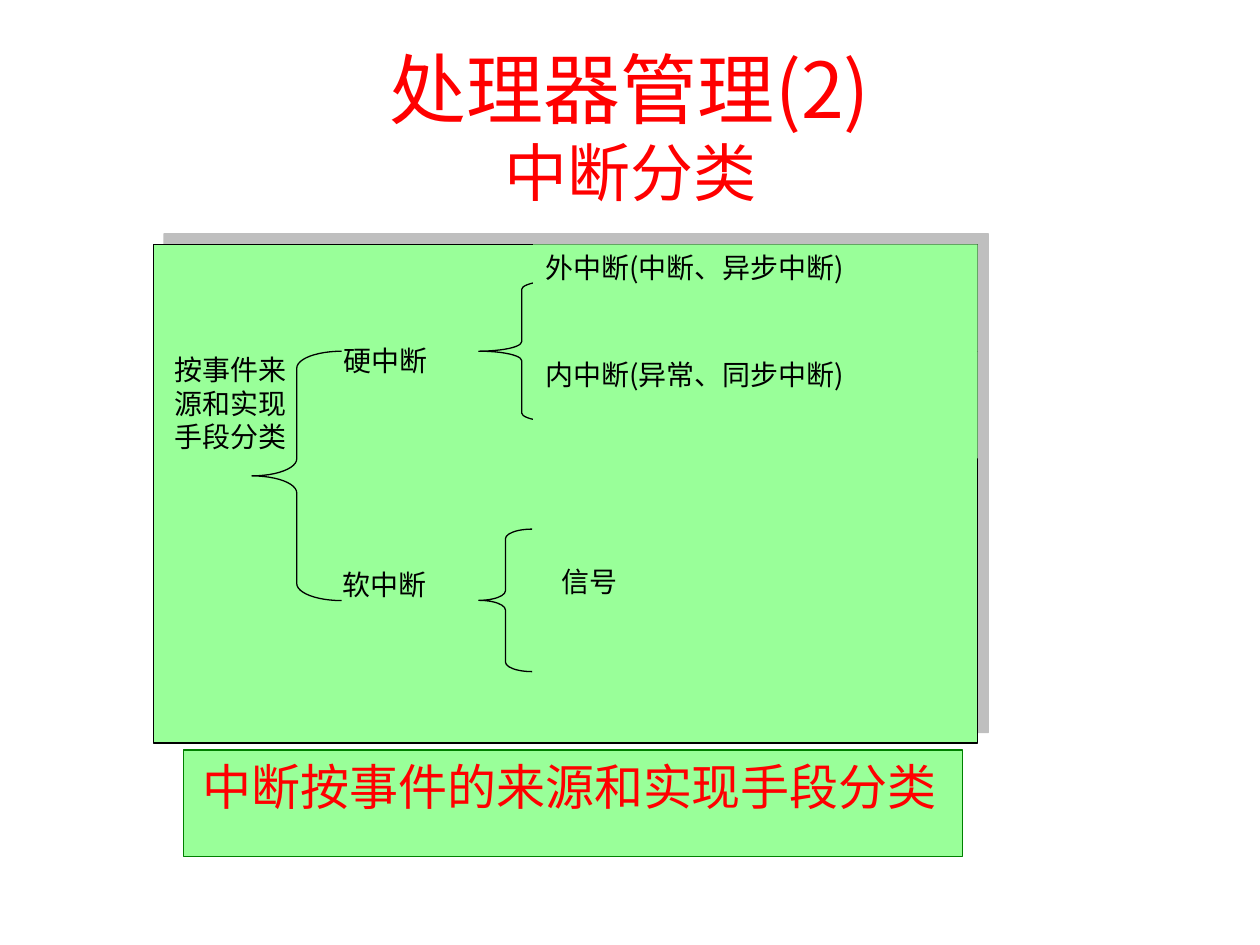
import pptx
import pptx.util
import pptx.dml.color
import pptx.enum.shapes
import pptx.enum.text
import pptx.oxml
import pptx.oxml.ns

Pt = pptx.util.Pt
KIND = pptx.enum.shapes.MSO_SHAPE
ALIGN = pptx.enum.text.PP_ALIGN
ANCHOR = pptx.enum.text.MSO_ANCHOR
FACE = "Noto Sans CJK SC"
GREEN, BLACK, RED = "99FF99", "000000", "FF0000"
NS = pptx.oxml.ns.nsdecls("a")


def rgb(code):
    return pptx.dml.color.RGBColor.from_string(code)


def style(font, size, color):
    font.size = Pt(size)
    font.color.rgb = rgb(color)
    font.name = FACE
    # East Asian face, directly after the Latin one
    latin = font._element.find(pptx.oxml.ns.qn("a:latin"))
    latin.addnext(pptx.oxml.parse_xml(f'<a:ea {NS} typeface="{FACE}"/>'))


def shape(slide, kind, box, edge=None):
    item = slide.shapes.add_shape(kind, *map(Pt, box))
    item.shadow.inherit = False
    item.fill.solid()
    item.fill.fore_color.rgb = rgb(GREEN)
    if edge:
        item.line.color.rgb = rgb(edge)
        item.line.width = Pt(0.75)
    else:
        item.line.fill.background()
    return item


def label(slide, box, text, size=16, color=BLACK, edge=None,
          align=ALIGN.JUSTIFY, inset=7.2):
    frame = shape(slide, KIND.RECTANGLE, box, edge).text_frame
    frame.word_wrap = True
    frame.vertical_anchor = ANCHOR.TOP
    frame.margin_left = Pt(inset)
    para = frame.paragraphs[0]
    para.text = text
    para.alignment = align
    style(para.font, size, color)


def brace(slide, box, curve):
    item = shape(slide, KIND.LEFT_BRACE, box, BLACK)
    item.adjustments[0] = curve
    item.adjustments[1] = 0.5


def panel(slide, box):
    item = shape(slide, KIND.RECTANGLE, box, BLACK)
    effect = item._element.spPr.find(pptx.oxml.ns.qn("a:effectLst"))
    effect.append(pptx.oxml.parse_xml(
        f'<a:outerShdw {NS} dist="{Pt(8.5)}" dir="18900000" algn="ctr" '
        'rotWithShape="0"><a:srgbClr val="808080"><a:alpha val="50000"/>'
        '</a:srgbClr></a:outerShdw>'))


def rule(slide, x, top, end):
    line = slide.shapes.add_connector(
        pptx.enum.shapes.MSO_CONNECTOR.STRAIGHT, Pt(x), Pt(top), Pt(x), Pt(end))
    line.line.color.rgb = rgb(BLACK)
    line.line.width = Pt(0.75)
    line._element.spPr.append(pptx.oxml.parse_xml(f"<a:effectLst {NS}/>"))


def title(slide, box, lines):
    item = slide.shapes.title
    item.left, item.top, item.width, item.height = map(Pt, box)
    frame = item.text_frame
    frame.word_wrap = True
    frame.vertical_anchor = ANCHOR.MIDDLE
    para = frame.paragraphs[0]
    para.alignment = ALIGN.CENTER
    for num, (text, size) in enumerate(lines):
        if num:
            para.add_line_break()
        run = para.add_run()
        run.text = text
        style(run.font, size, RED)


def main():
    deck = pptx.Presentation()
    deck.slide_width, deck.slide_height = Pt(720), Pt(540)
    slide = deck.slides.add_slide(deck.slide_layouts[5])
    title(slide, (54, 26.6, 612, 90), [("处理器管理(2)", 44), ("中断分类", 36)])

    # Caption and main panel
    label(slide, (105, 428.6, 445, 61), "中断按事件的来源和实现手段分类",
          28, RED, "008000", inset=10.8)
    left, top = 87.8, 139.6
    panel(slide, (left, top, 471, 285))

    # Second level
    label(slide, (189.4, 193, 106.6, 42.5), "硬中断")
    label(slide, (188.6, 321, 107.3, 29.5), "软中断", align=ALIGN.LEFT)
    brace(slide, (273.6, 160, 49, 81.4), 0.11)
    brace(slide, (273.6, 302.4, 30.5, 81.4), 0.18)

    # Third level
    high = 61.2
    for row, text in enumerate(["外中断(中断、异步中断)", "内中断(异常、同步中断)"]):
        label(slide, (304.6, top + row * high, 254, high), text)
    label(slide, (314, 319, 103.7, 30), "信号")

    # Root of the tree
    label(slide, (92.9, 198, 89.3, 165.6), "按事件来源和实现手段分类", align=ALIGN.LEFT)
    brace(slide, (144, 200.7, 51.2, 142.5), 0.19)
    rule(slide, left, top, 404)
    deck.save("out.pptx")


if __name__ == "__main__":
    main()
